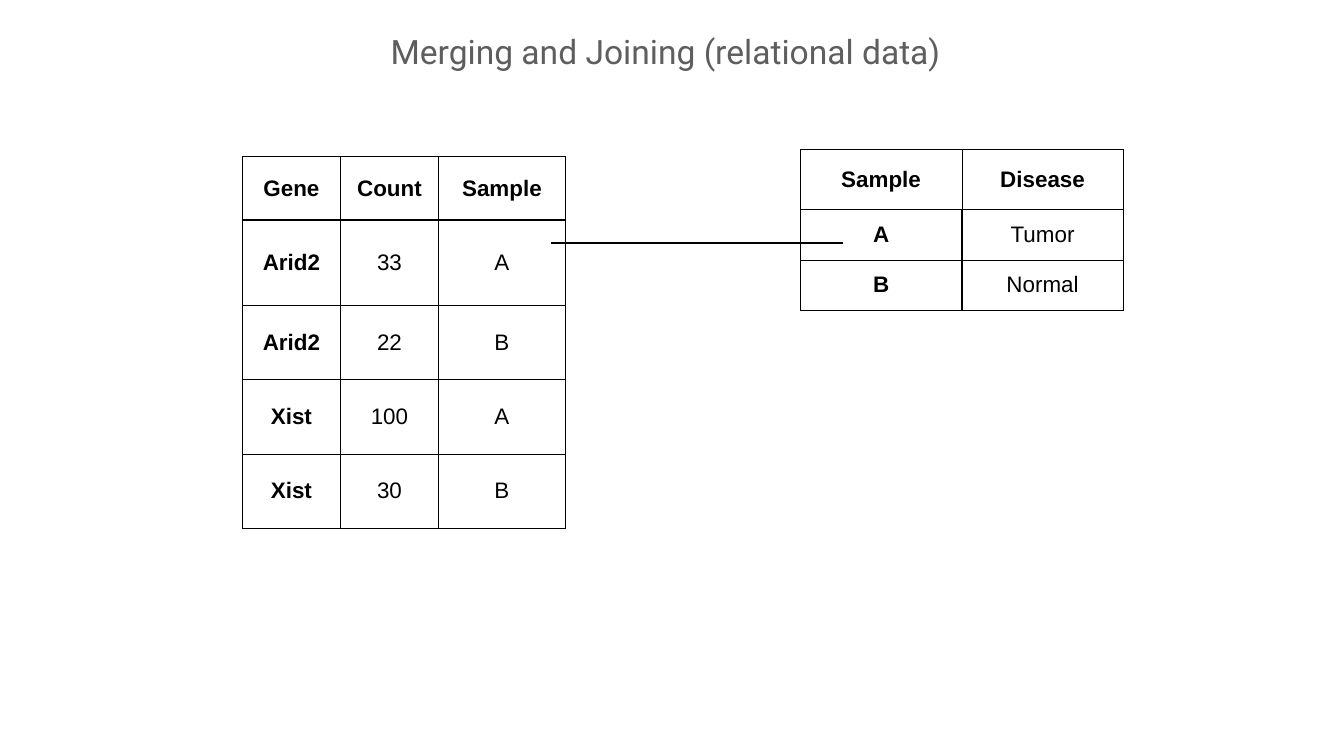
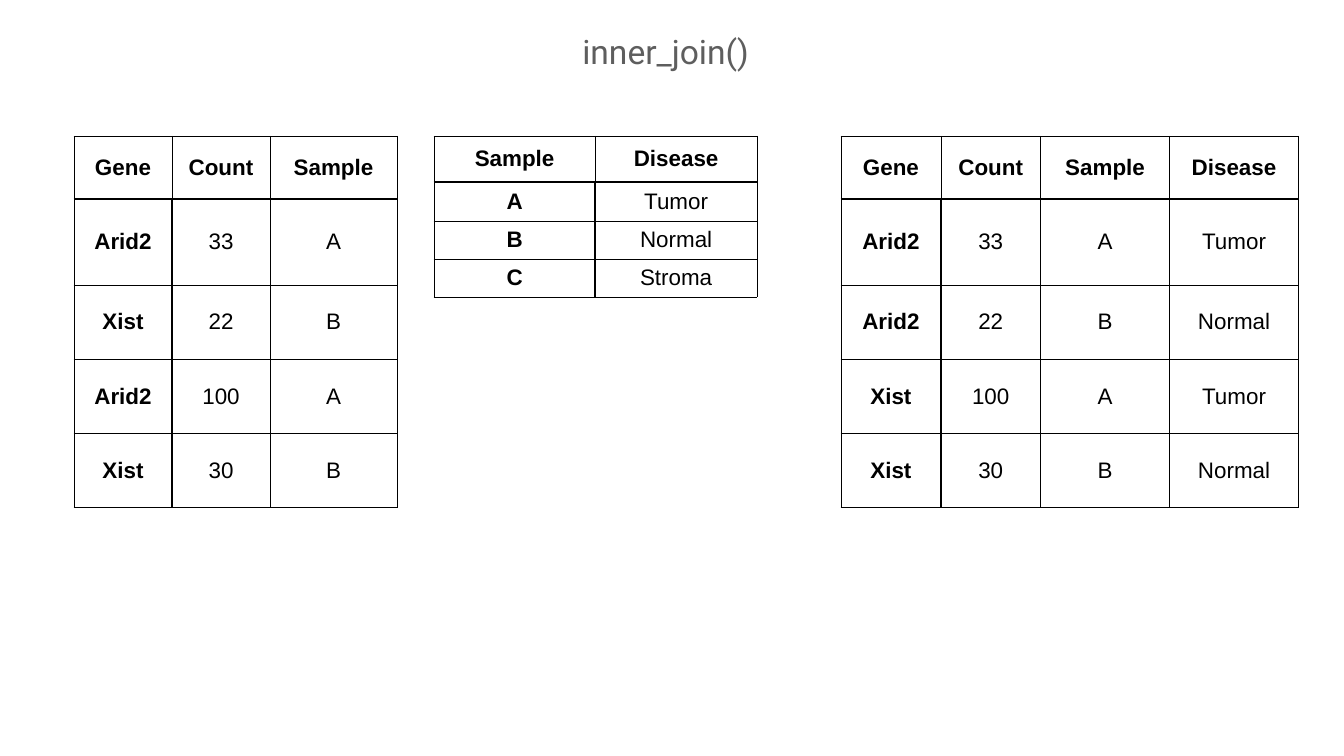
from dataclasses import dataclass

from lxml import etree
from pptx import Presentation
from pptx.dml.color import RGBColor
from pptx.enum.shapes import MSO_CONNECTOR
from pptx.enum.text import MSO_ANCHOR, MSO_AUTO_SIZE, PP_ALIGN
from pptx.oxml.ns import qn
from pptx.util import Cm, Pt

MIDDLE = MSO_ANCHOR.MIDDLE
CENTER = PP_ALIGN.CENTER
FIT_SHAPE = MSO_AUTO_SIZE.SHAPE_TO_FIT_TEXT
STRAIGHT = MSO_CONNECTOR.STRAIGHT
PLAIN_TABLE = "{2D5ABB26-0587-4C30-8999-92F81FD0307C}"


@dataclass(frozen=True)
class Theme:
    title_color: str = "5E5E5E"
    ink: str = "000000"
    title_font: str = "Roboto"
    table_font: str = "Arial"
    title_size: int = 48
    table_size: int = 32
    thin: int = 1
    link: int = 2
    thick: int = 3
    inset: float = 0.14
    title_center: float = 33.55
    title_top: float = 1.24
    title_height: float = 2.62


class SlideBuilder:
    def __init__(self, deck, theme):
        self.deck = deck
        self.theme = theme
        self.slide = None

    def new_slide(self, title, title_width):
        theme = self.theme
        self.slide = self.deck.slides.add_slide(self.deck.slide_layouts[6])
        box = self.slide.shapes.add_textbox(
            Cm(theme.title_center - title_width / 2), Cm(theme.title_top),
            Cm(title_width), Cm(theme.title_height))
        frame = box.text_frame
        frame.word_wrap = False
        frame.auto_size = FIT_SHAPE
        frame.vertical_anchor = MIDDLE
        self.set_insets(frame)
        frame.text = title
        self.style(frame.paragraphs[0], theme.title_font, theme.title_size,
                   theme.title_color)

    def set_insets(self, holder):
        inset = Cm(self.theme.inset)
        holder.margin_left = holder.margin_right = inset
        holder.margin_top = holder.margin_bottom = inset

    def style(self, para, font, size, color, bold=False):
        para.alignment = CENTER
        para.font.name = font
        para.font.size = Pt(size)
        para.font.bold = bold
        para.font.color.rgb = RGBColor.from_string(color)

    def table(self, left, top, widths, heights, rows):
        frame = self.slide.shapes.add_table(
            len(rows), len(widths), Cm(left), Cm(top),
            Cm(sum(widths)), Cm(sum(heights)))
        table = frame.table
        table.horz_banding = False
        frame._element.find(".//" + qn("a:tableStyleId")).text = PLAIN_TABLE
        for column, width in zip(table.columns, widths):
            column.width = Cm(width)
        for row, height in zip(table.rows, heights):
            row.height = Cm(height)
        for row_index, values in enumerate(rows):
            for column_index, value in enumerate(values):
                self.cell(table.cell(row_index, column_index), value,
                          row_index == 0, column_index == 0)

    def cell(self, cell, value, is_header, is_key):
        theme = self.theme
        cell.text = value
        cell.vertical_anchor = MIDDLE
        self.set_insets(cell)
        cell.fill.background()
        self.style(cell.text_frame.paragraphs[0], theme.table_font,
                   theme.table_size, theme.ink, is_header or is_key)
        borders = {"R": theme.thin, "B": theme.thin}
        if is_header:
            borders = {"L": theme.thin, "R": theme.thin,
                       "T": theme.thin, "B": theme.thick}
        elif is_key:
            borders = {"L": theme.thin, "R": theme.thick,
                       "T": theme.thin, "B": theme.thin}
        properties = cell._tc.get_or_add_tcPr()
        for position, (side, width) in enumerate(borders.items()):
            line = etree.Element(qn("a:ln" + side), w=str(Pt(width)))
            fill = etree.SubElement(line, qn("a:solidFill"))
            etree.SubElement(fill, qn("a:srgbClr"), val=theme.ink)
            properties.insert(position, line)

    def link(self, start, end, level):
        line = self.slide.shapes.add_connector(
            STRAIGHT, Cm(start), Cm(level), Cm(end), Cm(level))
        line.line.color.rgb = RGBColor.from_string(self.theme.ink)
        line.line.width = Pt(self.theme.link)
        etree.SubElement(line._element.spPr, qn("a:effectLst"))


GENE_WIDTHS = [4.94, 4.94, 6.4]
GENE_HEIGHTS = [3.18, 4.32, 3.74, 3.74, 3.74]
JOINED_WIDTHS = [5.03, 5.03, 6.5, 6.5]
SAMPLE_WIDTHS = [8.14, 8.14]

GENE_HEADER = ["Gene", "Count", "Sample"]
MEASUREMENTS = [["33", "A"], ["22", "B"], ["100", "A"], ["30", "B"]]
DISEASES = {"A": "Tumor", "B": "Normal"}
SORTED_GENES = ["Arid2", "Arid2", "Xist", "Xist"]
MIXED_GENES = ["Arid2", "Xist", "Arid2", "Xist"]


def gene_rows(genes):
    return [GENE_HEADER] + [[gene, *values]
                            for gene, values in zip(genes, MEASUREMENTS)]


def sample_rows(diseases):
    return [["Sample", "Disease"], *diseases.items()]


def joined_rows():
    header, *body = gene_rows(SORTED_GENES)
    return [header + ["Disease"]] + [row + [DISEASES[row[-1]]] for row in body]


def main():
    deck = Presentation()
    deck.slide_width = Cm(67.74)
    deck.slide_height = Cm(38.1)
    builder = SlideBuilder(deck, Theme())

    builder.new_slide("Merging and Joining (relational data)", 28.9)
    builder.table(12.22, 7.9, GENE_WIDTHS, GENE_HEIGHTS,
                  gene_rows(SORTED_GENES))
    builder.table(40.34, 7.54, SAMPLE_WIDTHS, [3.02, 2.57, 2.49],
                  sample_rows(DISEASES))
    builder.link(27.76, 42.47, 12.24)

    tables_top = 6.86
    builder.new_slide("inner_join()", 9.02)
    builder.table(3.73, tables_top, GENE_WIDTHS, GENE_HEIGHTS,
                  gene_rows(MIXED_GENES))
    builder.table(21.87, tables_top, SAMPLE_WIDTHS, [2.31, 1.98, 1.91, 1.91],
                  sample_rows({**DISEASES, "C": "Stroma"}))
    builder.table(42.39, tables_top, JOINED_WIDTHS, GENE_HEIGHTS,
                  joined_rows())

    deck.save("out.pptx")


if __name__ == "__main__":
    main()
